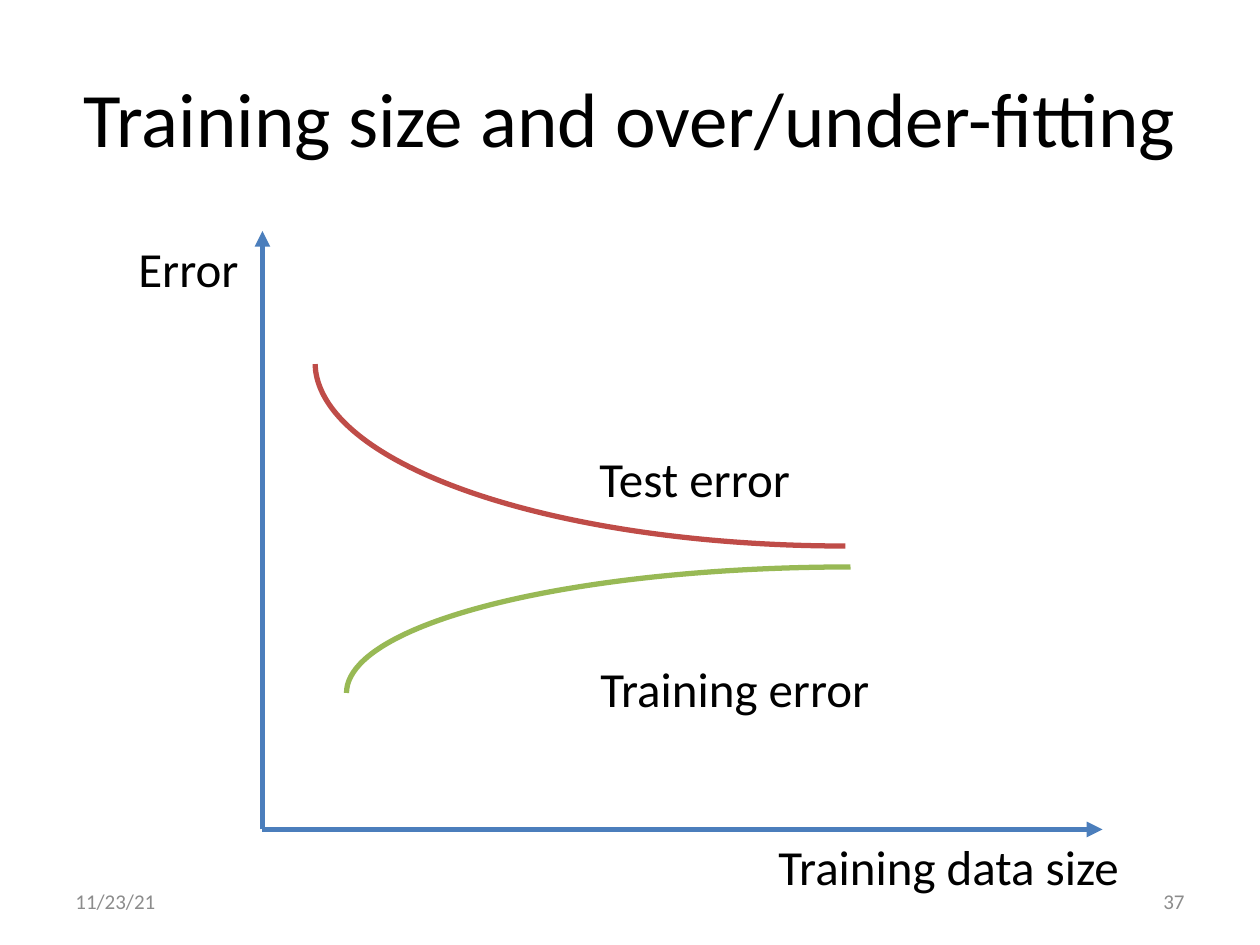
from lxml import etree
from pptx import Presentation
from pptx import util as u
from pptx.dml.color import RGBColor
from pptx.enum import shapes, text
from pptx.oxml import ns

FONT = "Calibri"
COLOURS = {
    "text": "000000",
    "footer": "8C8C8C",
    "axis": "4B7EBC",
    "test": "BF4C48",
    "training": "98B955",
}
LINE_WIDTH = 3
ORIGIN = (150, 474)


def colour(name):
    return RGBColor.from_string(COLOURS[name])


def place(shape, left, top, width, height):
    shape.left, shape.top = u.Pt(left), u.Pt(top)
    shape.width, shape.height = u.Pt(width), u.Pt(height)


def write(shape, words, size, tone="text", align=text.PP_ALIGN.LEFT):
    shape.text_frame.text = words
    para = shape.text_frame.paragraphs[0]
    para.alignment = align
    for span in para.runs:
        span.font.name = FONT
        span.font.size = u.Pt(size)
        span.font.color.rgb = colour(tone)


def add_title(page, words):
    title = page.shapes.title
    place(title, 36, 21.6, 648, 90)
    write(title, words, 44, align=text.PP_ALIGN.CENTER)
    title.text_frame.vertical_anchor = text.MSO_ANCHOR.MIDDLE


def add_label(page, words, left, top, width):
    box = page.shapes.add_textbox(u.Pt(left), u.Pt(top), u.Pt(width), u.Pt(41.2))
    box.text_frame.word_wrap = False
    box.text_frame.auto_size = text.MSO_AUTO_SIZE.SHAPE_TO_FIT_TEXT
    write(box, words, 28)


def add_footer(page, words, left, align):
    box = page.shapes.add_textbox(u.Pt(left), u.Pt(500.5), u.Pt(168), u.Pt(28.75))
    box.text_frame.word_wrap = True
    box.text_frame.vertical_anchor = text.MSO_ANCHOR.MIDDLE
    write(box, words, 12, "footer", align)


def add_axis(page, end):
    axis = page.shapes.add_connector(
        shapes.MSO_CONNECTOR.STRAIGHT, *(u.Pt(value) for value in ORIGIN + end)
    )
    axis.line.color.rgb = colour("axis")
    axis.line.width = u.Pt(LINE_WIDTH)
    # Arrowhead at the far end, and no shadow
    etree.SubElement(axis.line._get_or_add_ln(), ns.qn("a:tailEnd"), type="triangle")
    etree.SubElement(axis._element.spPr, ns.qn("a:effectLst"))


def add_curve(page, tone, left, top, width, height, end_angle, flipped=False):
    curve = page.shapes.add_shape(
        shapes.MSO_SHAPE.ARC, u.Pt(left), u.Pt(top), u.Pt(width), u.Pt(height)
    )
    # Angles are in 60000ths of a degree, scaled by 100000
    curve.adjustments[0] = 270 * 0.6
    curve.adjustments[1] = end_angle * 0.6
    curve.rotation = 180
    if flipped:
        curve._element.spPr.xfrm.set("flipV", "1")
    curve.fill.background()
    curve.line.color.rgb = colour(tone)
    curve.line.width = u.Pt(LINE_WIDTH)
    curve.shadow.inherit = False


def main():
    deck = Presentation()
    deck.slide_width, deck.slide_height = u.Pt(720), u.Pt(540)
    page = deck.slides.add_slide(deck.slide_layouts[5])

    add_title(page, "Training size and over/under-fitting")

    # Date and page number
    add_footer(page, "11/23/21", 36, text.PP_ALIGN.LEFT)
    add_footer(page, "37", 516, text.PP_ALIGN.RIGHT)

    # Axes
    add_axis(page, (150, 132))
    add_axis(page, (630, 474))
    add_label(page, "Error", 72, 132.5, 72)
    add_label(page, "Training data size", 437.75, 474.5, 211)

    # Error curves
    add_curve(page, "test", 180, 102, 606, 210, 359.8)
    add_label(page, "Test error", 335.5, 252.5, 124.5)
    add_curve(page, "training", 198, 324, 576, 144, 0, flipped=True)
    add_label(page, "Training error", 336, 373, 170)

    deck.save("out.pptx")


if __name__ == "__main__":
    main()
